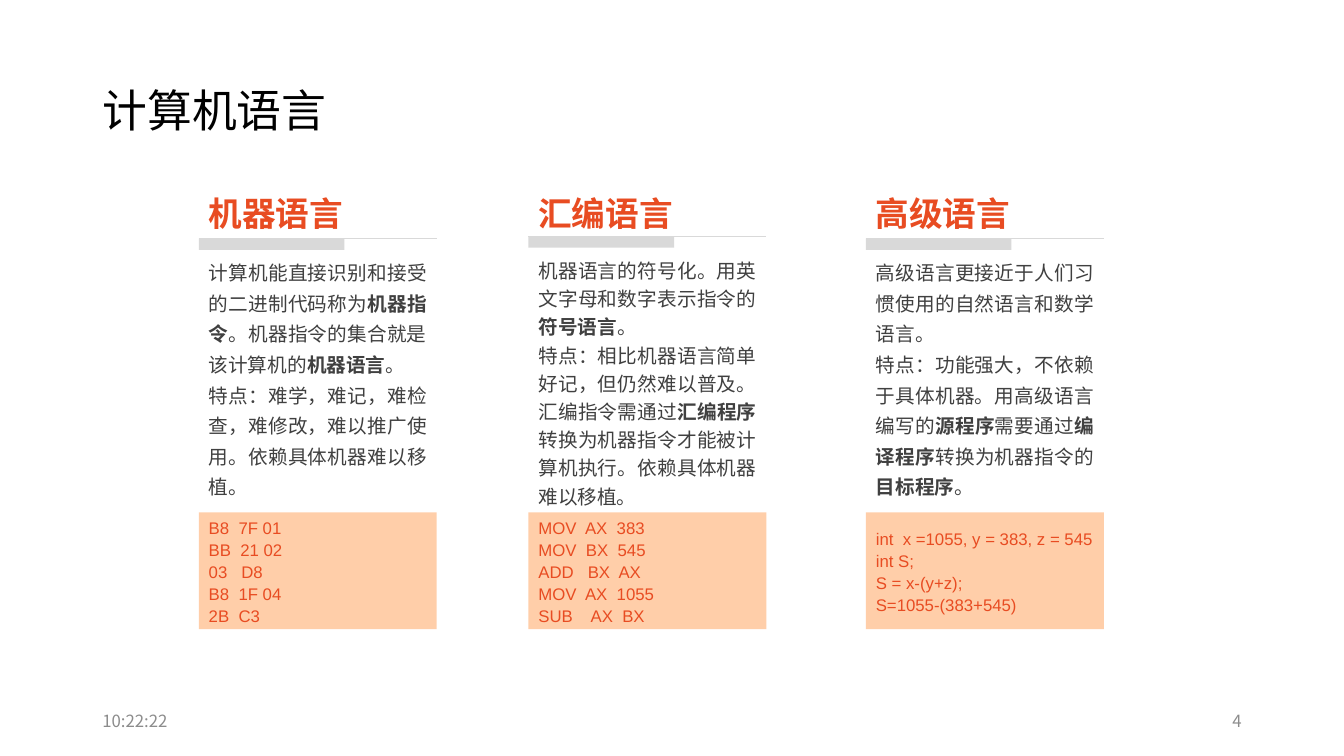
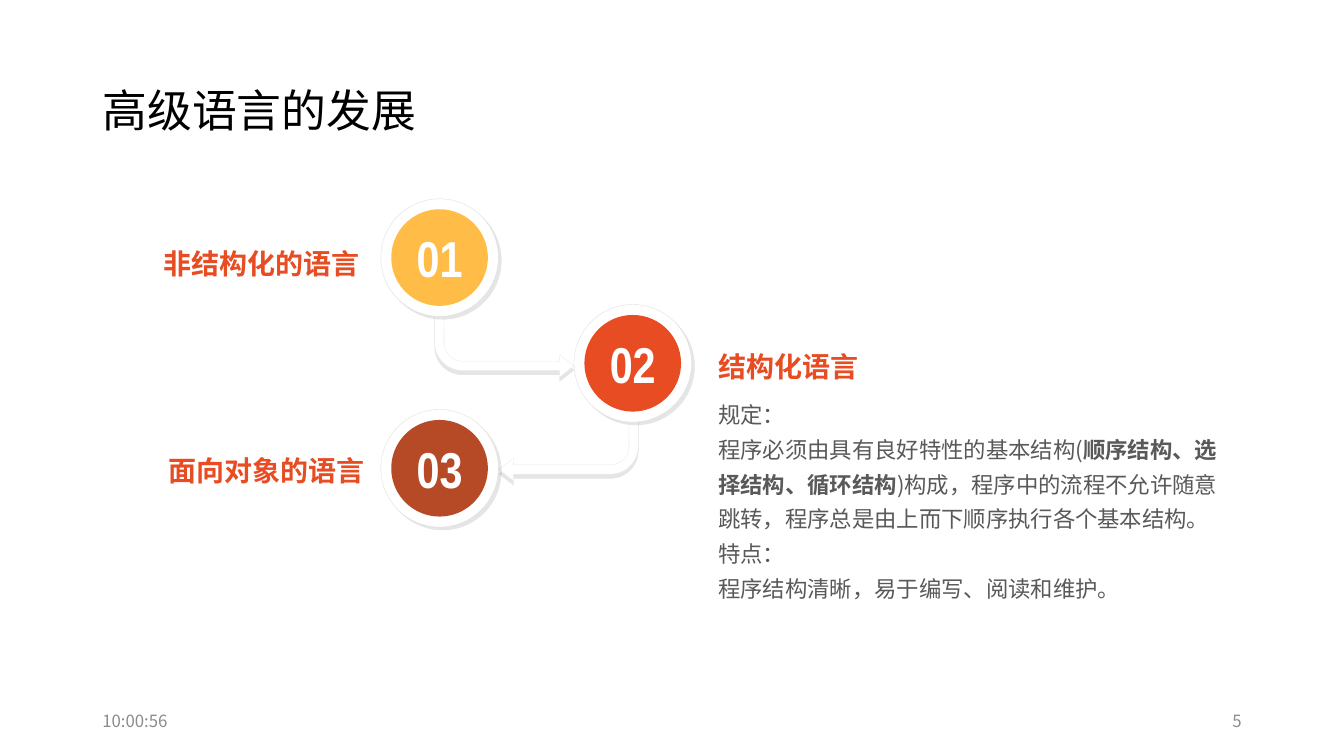
"""Two slides on computer languages and how high-level languages developed."""
from lxml import etree
from pptx import Presentation
from pptx.dml.color import RGBColor
from pptx.enum import shapes, text
from pptx.oxml import ns
from pptx.util import Pt

NOTO = "Noto Sans CJK SC"
RED, GREY, PEACH, WHITE = "E84C22", "D9D9D9", "FFCEA9", "FFFFFF"
ALIGN, ANCHOR = text.PP_ALIGN, text.MSO_ANCHOR
KIND = shapes.MSO_SHAPE

deck = Presentation()
deck.slide_width, deck.slide_height = Pt(960), Pt(540)


def write(shape, words, size, color, font=NOTO, bold=False, align=ALIGN.LEFT,
          gap=1.0, anchor=ANCHOR.MIDDLE, inset=(7.2, 3.6)):
    """Fill a shape with lines of text; stars switch bold on and off."""
    frame = shape.text_frame
    frame.word_wrap, frame.vertical_anchor = True, anchor
    frame.margin_left = frame.margin_right = Pt(inset[0])
    frame.margin_top = frame.margin_bottom = Pt(inset[1])
    for i, line in enumerate(words.split("\n")):
        para = frame.add_paragraph() if i else frame.paragraphs[0]
        para.alignment, para.line_spacing = align, gap
        for j, part in enumerate(line.split("*")):
            run = para.add_run()
            run.text = part
            run.font.size, run.font.bold = Pt(size), bold or j % 2 == 1
            run.font.color.rgb = RGBColor.from_string(color)
            run.font.name = font
            east = etree.SubElement(run.font._element, ns.qn("a:ea"))
            east.set("typeface", font)


def draw(slide, kind, box, fill, line=None, angle=None):
    """Add a filled shape, with an optional outline and cast shadow."""
    shape = slide.shapes.add_shape(kind, *map(Pt, box))
    shape.shadow.inherit = False
    shape.fill.solid()
    shape.fill.fore_color.rgb = RGBColor.from_string(fill)
    if line:
        shape.line.color.rgb = RGBColor.from_string(line)
        shape.line.width = Pt(0.25)
    else:
        shape.line.fill.background()
    if angle:
        effects = shape._element.spPr.find(ns.qn("a:effectLst"))
        cast = etree.SubElement(effects, ns.qn("a:outerShdw"), blurRad="0",
                                dist=str(Pt(3)), dir=str(angle * 60000),
                                algn="ctr", rotWithShape="0")
        tone = etree.SubElement(cast, ns.qn("a:srgbClr"), val="000000")
        etree.SubElement(tone, ns.qn("a:alpha"), val="10000")
    return shape


pages = []
for title, time, page in [("计算机语言", "10:22:22", "4"),
                          ("高级语言的发展", "10:00:56", "5")]:
    slide = deck.slides.add_slide(deck.slide_layouts[5])
    head = slide.shapes.title
    head.left, head.top, head.width, head.height = map(Pt, (66, 29, 828, 104))
    write(head, title, 32, "000000", gap=0.9)
    for left, words, align in [(66, time, ALIGN.LEFT), (678, page, ALIGN.RIGHT)]:
        foot = slide.shapes.add_textbox(*map(Pt, (left, 500.5, 216, 28.75)))
        write(foot, words, 12, "8C8C8C", align=align)
    pages.append(slide)
kinds, growth = pages

columns = [
    (142, 170.5, 1.3, "机器语言",
     "计算机能直接识别和接受的二进制代码称为*机器指令*。"
     "机器指令的集合就是该计算机的*机器语言*。\n"
     "特点：难学，难记，难检查，难修改，难以推广使用。依赖具体机器难以移植。",
     "B8  7F 01\nBB  21 02\n03   D8\nB8  1F 04\n2B  C3"),
    (377.5, 169, 1.2, "汇编语言",
     "机器语言的符号化。用英文字母和数字表示指令的*符号语言*。\n"
     "特点：相比机器语言简单好记，但仍然难以普及。汇编指令需通过*汇编程序*"
     "转换为机器指令才能被计算机执行。依赖具体机器难以移植。",
     "MOV  AX  383\nMOV  BX  545\nADD   BX  AX\nMOV  AX  1055\nSUB    AX  BX"),
    (618.5, 170.5, 1.3, "高级语言",
     "高级语言更接近于人们习惯使用的自然语言和数学语言。\n"
     "特点：功能强大，不依赖于具体机器。用高级语言编写的*源程序*"
     "需要通过*编译程序*转换为机器指令的*目标程序*。",
     "int  x =1055, y = 383, z = 545\nint S;\nS = x-(y+z); \nS=1055-(383+545)"),
]
wide = 170
for left, top, gap, name, body, code in columns:
    label = kinds.shapes.add_textbox(*map(Pt, (left, 136, wide, 34)))
    write(label, name, 24, RED, bold=True, anchor=ANCHOR.BOTTOM)
    note = kinds.shapes.add_textbox(*map(Pt, (left, 178, wide, 193)))
    write(note, body, 14, "404040", align=ALIGN.JUSTIFY, gap=gap, anchor=ANCHOR.TOP)
    panel = draw(kinds, KIND.RECTANGLE, (left, 366, wide, 83.5), PEACH)
    write(panel, code, 12, RED, font="Arial", align=ALIGN.JUSTIFY, gap=1.1)
    draw(kinds, KIND.RECTANGLE, (left, top, 104, 8), GREY)
    rule = kinds.shapes.add_connector(shapes.MSO_CONNECTOR.STRAIGHT,
                                      *map(Pt, (left, top, left + wide, top)))
    rule.line.color.rgb = RGBColor.from_string(GREY)
    rule.line.width = Pt(0.5)
    etree.SubElement(rule._element.spPr, ns.qn("a:effectLst"))

for left, top, flips in [(356.5, 298, ("flipH", "flipV")), (310.5, 224, ("flipV",))]:
    arrow = draw(growth, KIND.BENT_ARROW, (left, top, 99.5, 45.5), WHITE, "EAEAEA", 90)
    for i, value in enumerate((0.146, 0.178, 0.226, 0.438)):
        arrow.adjustments[i] = value
    for flip in flips:
        arrow._element.spPr.xfrm.set(flip, "1")

ring, rim = 84, 7.5
disc = ring - 2 * rim
steps = [
    (272, 142, "FFBD47", "非结构化的语言", (45, 170.5), ALIGN.RIGHT),
    (410, 217.5, RED, "结构化语言", (506, 244), ALIGN.LEFT),
    (272, 292.5, "B64926", "面向对象的语言", (48.5, 318), ALIGN.RIGHT),
]
for i, (left, top, color, name, spot, align) in enumerate(steps, 1):
    draw(growth, KIND.OVAL, (left, top, ring, ring), WHITE, "DDDDDD", 45)
    badge = draw(growth, KIND.OVAL, (left + rim, top + rim, disc, disc), color)
    write(badge, f"{i:02}", 36, WHITE, font="Arial Narrow", bold=True,
          align=ALIGN.CENTER, inset=(0, 0))
    label = growth.shapes.add_textbox(*map(Pt, (*spot, 219, 35.5)))
    write(label, name, 20, RED, bold=True, align=align)

note = growth.shapes.add_textbox(*map(Pt, (506, 277, 379, 168.5)))
write(note, "规定：\n程序必须由具有良好特性的基本结构(*顺序结构、选择结构、循环结构*)构成，"
      "程序中的流程不允许随意跳转，程序总是由上而下顺序执行各个基本结构。\n"
      "特点：\n程序结构清晰，易于编写、阅读和维护。",
      16, "595959", gap=1.3, anchor=ANCHOR.TOP)

deck.save("out.pptx")
